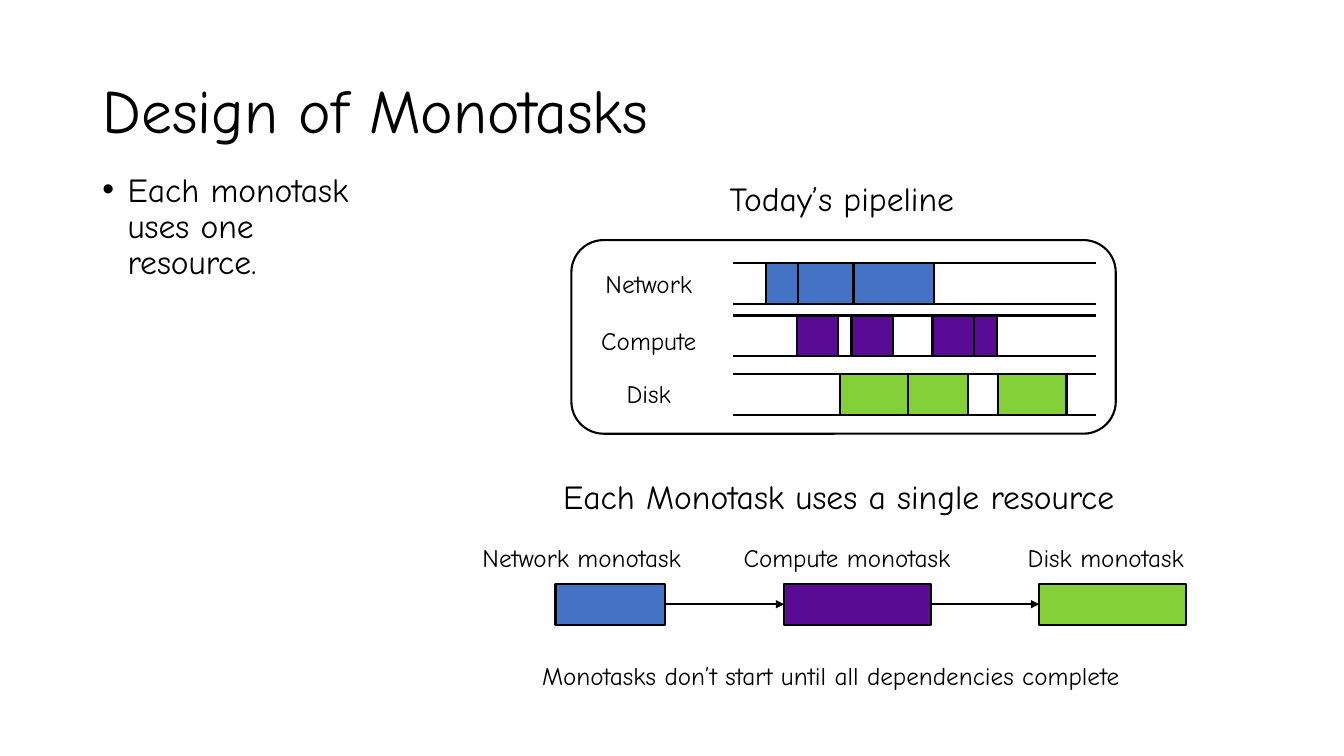
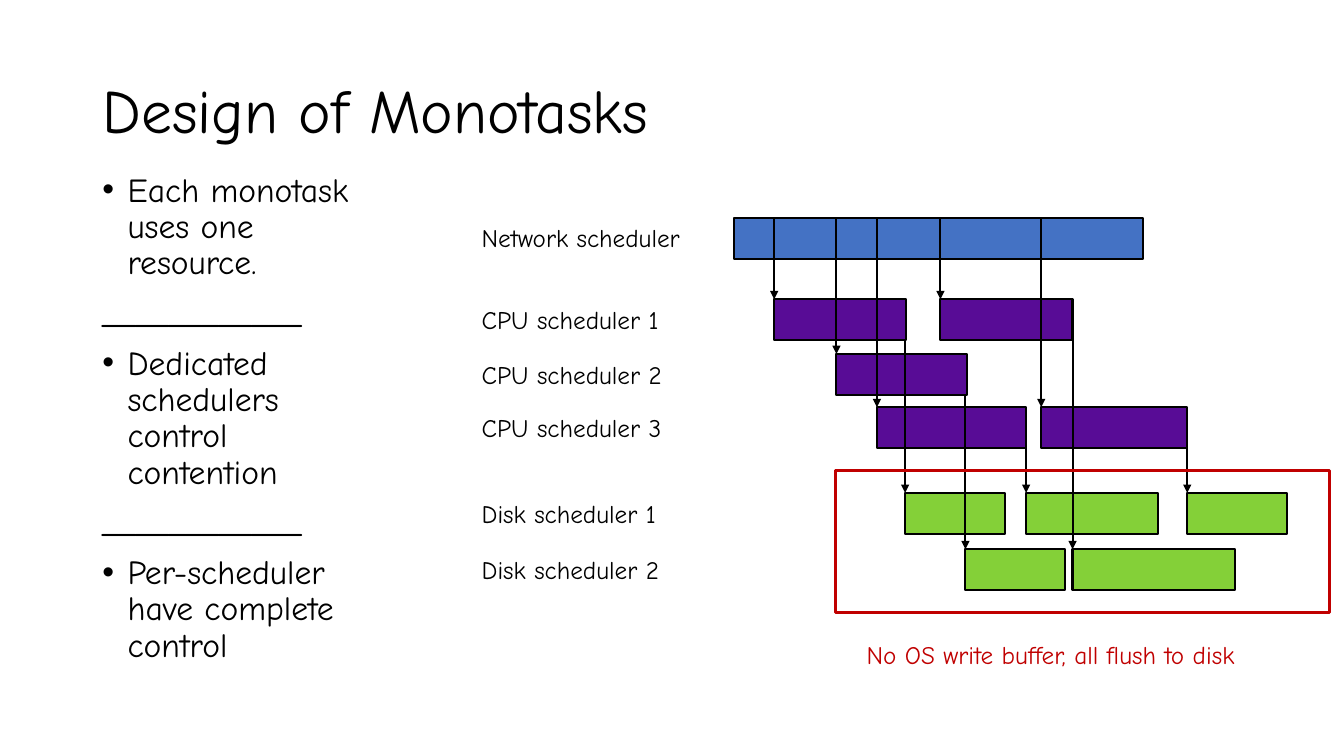
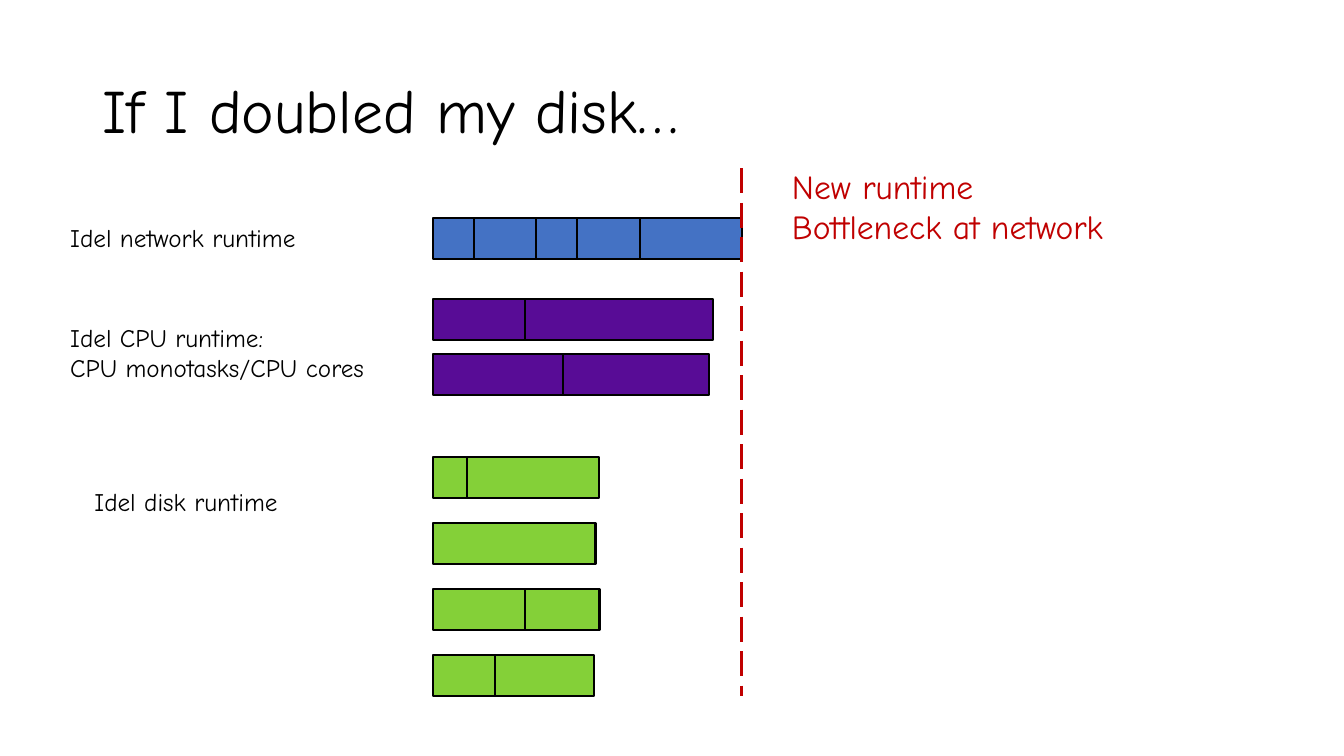
from dataclasses import dataclass

from lxml.etree import SubElement
from pptx import Presentation
from pptx.dml.color import RGBColor
from pptx.enum.dml import MSO_LINE
from pptx.enum.shapes import MSO_CONNECTOR, MSO_SHAPE
from pptx.enum.text import MSO_ANCHOR, PP_ALIGN
from pptx.oxml.ns import qn
from pptx.util import Cm, Pt


@dataclass(frozen=True)
class Theme:
    font: str = "Comic Neue"
    ink: RGBColor = RGBColor(0x00, 0x00, 0x00)
    network: RGBColor = RGBColor(0x44, 0x72, 0xC4)
    compute: RGBColor = RGBColor(0x58, 0x0C, 0x96)
    disk: RGBColor = RGBColor(0x84, 0xD0, 0x38)
    alert: RGBColor = RGBColor(0xC0, 0x00, 0x00)
    title: Pt = Pt(44)
    body: Pt = Pt(24)
    label: Pt = Pt(18)
    thin: Pt = Pt(1.5)
    thick: Pt = Pt(2.25)


T = Theme()
BAR_H = 1.03  # cm, like every other plain number used as a length


def add_box(s, x, y, w, h=BAR_H, fill=None, color=T.ink, width=T.thin,
            kind=MSO_SHAPE.RECTANGLE):
    sp = s.shapes.add_shape(kind, Cm(x), Cm(y), Cm(w), Cm(h))
    sp.shadow.inherit = False
    if fill is None:
        sp.fill.background()
    else:
        sp.fill.solid()
        sp.fill.fore_color.rgb = fill
    sp.line.color.rgb = color
    sp.line.width = width
    return sp


def add_line(s, x1, y1, x2, y2, color=T.ink, width=T.thin, dash=None, arrow=False):
    cx = s.shapes.add_connector(MSO_CONNECTOR.STRAIGHT, Cm(x1), Cm(y1), Cm(x2), Cm(y2))
    cx.line.color.rgb = color
    cx.line.width = width
    if dash is not None:
        cx.line.dash_style = dash
    spPr = cx.element.spPr
    if arrow:
        SubElement(spPr.find(qn("a:ln")), qn("a:tailEnd"), type="triangle")
    SubElement(spPr, qn("a:effectLst"))
    return cx


prs = Presentation()
prs.slide_width, prs.slide_height = Cm(33.87), Cm(19.05)

# Titles
slides = []
for title in ("Design of Monotasks", "Design of Monotasks", "If I doubled my disk…"):
    s = prs.slides.add_slide(prs.slide_layouts[5])
    sp = s.shapes.title
    sp.left, sp.top, sp.width, sp.height = Cm(2.33), Cm(1.01), Cm(29.21), Cm(3.68)
    tf = sp.text_frame
    tf.vertical_anchor = MSO_ANCHOR.MIDDLE
    p = tf.paragraphs[0]
    p.alignment = PP_ALIGN.LEFT
    p.line_spacing = 0.9
    r = p.add_run()
    r.text = title
    r.font.name, r.font.size, r.font.color.rgb = T.font, T.title, T.ink
    slides.append(s)
pipeline, schedulers, doubled = slides

# Bullets, with an unbulleted rule between the points
RULE = "____________"
points = ["Each monotask uses one resource.", RULE,
          "Dedicated schedulers control contention", RULE,
          "Per-scheduler have complete control"]
for s, items in ((pipeline, points[:1]), (schedulers, points)):
    tf = s.shapes.add_textbox(Cm(2.33), Cm(4.24), Cm(7.32), Cm(14)).text_frame
    tf.word_wrap = True
    for i, item in enumerate(items):
        p = tf.add_paragraph() if i else tf.paragraphs[0]
        p.line_spacing = 0.9
        p.space_before = Pt(10)
        if item != RULE:
            pPr = p._p.get_or_add_pPr()
            pPr.set("marL", str(Pt(18)))
            pPr.set("indent", str(-Pt(18)))
            SubElement(pPr, qn("a:buFont"), typeface="Arial")
            SubElement(pPr, qn("a:buChar"), char="•")
        r = p.add_run()
        r.text = item
        r.font.name, r.font.size, r.font.color.rgb = T.font, T.body, T.ink

# Each label: slide, left, top, width, lines, size, colour, alignment
labels = []

# Today's pipeline: three tracks with their busy times
add_box(pipeline, 14.4, 6.05, 13.72, 4.88, kind=MSO_SHAPE.ROUNDED_RECTANGLE)
tracks = [
    ("Network", 6.63, 6.63, T.network, [(19.3, 0.81), (20.12, 1.37), (21.51, 2.03)]),
    ("Compute", 7.95, 8.08, T.compute,
     [(20.09, 1.02), (21.46, 1.04), (23.5, 1.04), (24.54, 0.58)]),
    ("Disk", 9.42, 9.42, T.disk, [(21.16, 1.73), (22.89, 1.5), (25.15, 1.73)]),
]
for name, y, label_y, fill, spans in tracks:
    for edge in (y, y + BAR_H):
        add_line(pipeline, 18.48, edge, 27.62, edge)
    for x, w in spans:
        add_box(pipeline, x, y, w, fill=fill)
    labels.append((pipeline, 14.4, label_y, 3.9, [name], T.label, T.ink, PP_ALIGN.CENTER))

# Chain of monotasks
chain = [
    ("Network monotask", 11.91, 14, 2.77, T.network),
    ("Compute monotask", 18.49, 19.76, 3.71, T.compute),
    ("Disk monotask", 25.65, 26.19, 3.71, T.disk),
]
previous = None
for name, label_x, x, w, fill in chain:
    task = add_box(pipeline, x, 14.71, w, fill=fill)
    if previous is not None:
        cx = add_line(pipeline, x, 14.71, x, 14.71, arrow=True)
        cx.begin_connect(previous, 3)
        cx.end_connect(task, 1)
    previous = task
    labels.append((pipeline, label_x, 13.55, 6.8, [name], T.label, T.ink, PP_ALIGN.LEFT))

labels += [
    (pipeline, 18.14, 4.37, 7.5, ["Today’s pipeline"], T.body, T.ink, PP_ALIGN.LEFT),
    (pipeline, 13.94, 11.86, 16.2, ["Each Monotask uses a single resource"],
     T.body, T.ink, PP_ALIGN.LEFT),
    (pipeline, 13.41, 16.51, 17.5,
     ["Monotasks don’t start until all dependencies complete"],
     T.label, T.ink, PP_ALIGN.LEFT),
]

# Schedulers: one row each, then arrows from the end of a task to the next one
NET, CPU1, CPU2, CPU3, DISK1, DISK2 = 5.49, 7.54, 8.92, 10.26, 12.42, 13.84
rows = [
    ("Network scheduler", NET, T.network,
     [(18.49, 1.02), (19.51, 1.57), (21.08, 1.02), (22.1, 1.6), (23.7, 2.54), (26.24, 2.57)]),
    ("CPU scheduler 1", CPU1, T.compute, [(19.51, 3.33), (23.7, 3.33)]),
    ("CPU scheduler 2", CPU2, T.compute, [(21.06, 3.3)]),
    ("CPU scheduler 3", CPU3, T.compute, [(22.1, 3.76), (26.24, 3.68)]),
    ("Disk scheduler 1", DISK1, T.disk, [(22.81, 2.51), (25.86, 3.33), (29.92, 2.51)]),
    ("Disk scheduler 2", DISK2, T.disk, [(24.33, 2.51), (27.03, 4.09)]),
]
for name, y, fill, spans in rows:
    for x, w in spans:
        add_box(schedulers, x, y, w, fill=fill)
    labels.append((schedulers, 11.89, y, 6.6, [name], T.label, T.ink, PP_ALIGN.LEFT))

handovers = [
    (19.51, NET, CPU1), (21.08, NET, CPU2), (22.1, NET, CPU3),
    (23.7, NET, CPU1), (26.24, NET, CPU3),
    (22.81, CPU1, DISK1), (24.33, CPU2, DISK2), (25.86, CPU3, DISK1),
    (27.03, CPU1, DISK2), (29.92, CPU3, DISK1),
]
for x, source, target in handovers:
    add_line(schedulers, x, source + BAR_H, x, target, arrow=True)

add_box(schedulers, 21.06, 11.86, 12.45, 3.58, color=T.alert, width=T.thick)
labels.append((schedulers, 21.59, 15.98, 12.2, ["No OS write buffer, all flush to disk"],
               T.label, T.alert, PP_ALIGN.LEFT))

# Ideal runtimes with twice the disks
START = 10.92
runtimes = [
    (NET, T.network,
     [(START, 1.02), (11.94, 1.57), (13.51, 1.04), (14.55, 1.58), (16.13, 2.57)]),
    (CPU1, T.compute, [(START, 2.34), (13.24, 4.72)]),
    (CPU2, T.compute, [(START, 3.3), (14.2, 3.68)]),
    (11.51, T.disk, [(START, 2.51), (11.76, 3.33)]),
    (13.18, T.disk, [(START, 4.09)]),
    (14.84, T.disk, [(12.6, 2.51), (START, 2.31)]),
    (16.51, T.disk, [(START, 2.51), (12.47, 2.51)]),
]
for y, fill, spans in runtimes:
    for x, w in spans:
        add_box(doubled, x, y, w, fill=fill)
add_line(doubled, 18.69, 4.24, 18.69, 17.53, T.alert, T.thick, MSO_LINE.LONG_DASH)
labels += [
    (doubled, 1.52, NET, 7.5, ["Idel network runtime"], T.label, T.ink, PP_ALIGN.LEFT),
    (doubled, 1.52, 8, 9, ["Idel CPU runtime:", "CPU monotasks/CPU cores"],
     T.label, T.ink, PP_ALIGN.LEFT),
    (doubled, 2.13, 12.14, 6.5, ["Idel disk runtime"], T.label, T.ink, PP_ALIGN.LEFT),
    (doubled, 19.71, 4.06, 9.88, ["New runtime", "Bottleneck at network"],
     T.body, T.alert, PP_ALIGN.LEFT),
]

for s, x, y, w, lines, size, color, align in labels:
    tf = s.shapes.add_textbox(Cm(x), Cm(y), Cm(w), Cm(BAR_H * len(lines))).text_frame
    tf.word_wrap = True
    for i, line in enumerate(lines):
        p = tf.add_paragraph() if i else tf.paragraphs[0]
        p.alignment = align
        r = p.add_run()
        r.text = line
        r.font.name, r.font.size, r.font.color.rgb = T.font, size, color

prs.save("out.pptx")
